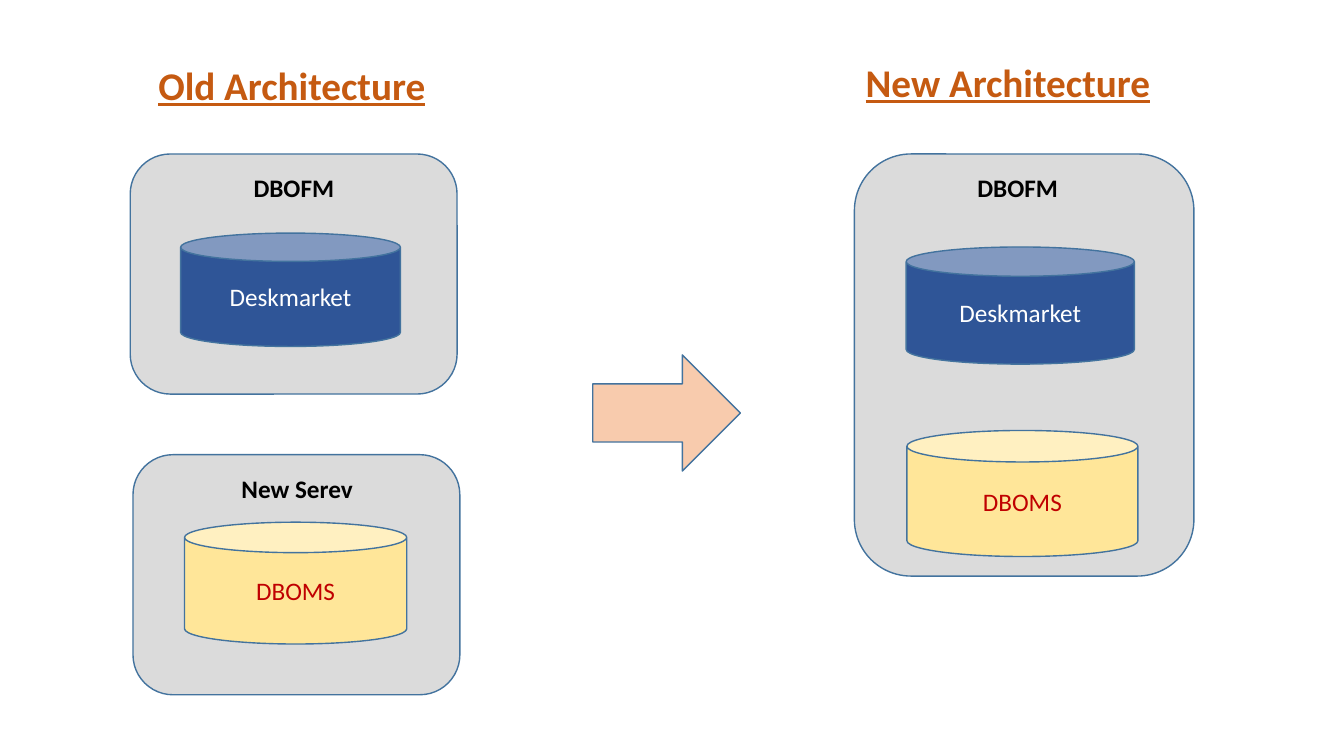
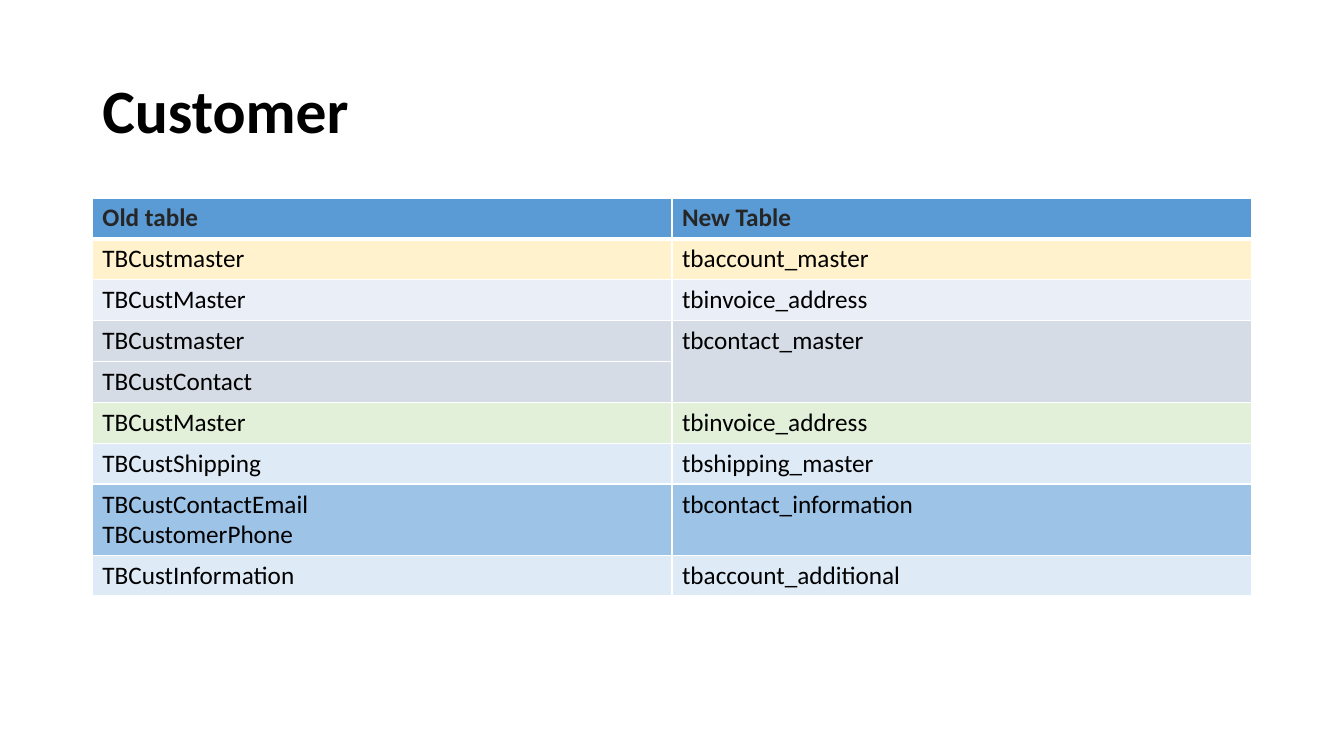
"""Build two slides: an architecture change and its customer table mapping."""
import pptx
import pptx.dml.color
import pptx.enum.shapes
import pptx.enum.text
import pptx.oxml
import pptx.oxml.ns
import pptx.util

Pt = pptx.util.Pt
RGB = pptx.dml.color.RGBColor
MSO = pptx.enum.shapes.MSO_SHAPE
ALIGN = pptx.enum.text.PP_ALIGN
ANCHOR = pptx.enum.text.MSO_ANCHOR

FONT = "Calibri"
BLACK = RGB(0, 0, 0)
WHITE = RGB(255, 255, 255)
OUTLINE = RGB(0x43, 0x73, 0x9E)
PANEL = RGB(0xDB, 0xDB, 0xDB)
NAVY = RGB(0x2F, 0x55, 0x97)
YELLOW = RGB(0xFF, 0xE6, 0x99)
RED = RGB(0xC0, 0, 0)
RUST = RGB(0xC5, 0x5A, 0x11)
PEACH = RGB(0xF8, 0xCB, 0xAD)
CHARCOAL = RGB(0x26, 0x26, 0x26)
HEADER = RGB(0x5B, 0x9B, 0xD5)
CREAM = RGB(0xFF, 0xF2, 0xCC)
ICE = RGB(0xEA, 0xEF, 0xF7)
GREY = RGB(0xD6, 0xDC, 0xE5)
GREEN = RGB(0xE2, 0xF0, 0xD9)
PALE_BLUE = RGB(0xDE, 0xEB, 0xF7)
SKY = RGB(0x9D, 0xC3, 0xE6)

HEADINGS = [
    ("Old Architecture", (106, 40.3, 212, 41)),
    ("New Architecture", (611.3, 38.2, 220, 41)),
]
PANELS = [(93, 110, 233.5, 171.5), (95, 324.8, 233.5, 171.5), (610.3, 110, 242.5, 301.5)]
LABELS = [
    ("DBOFM", (174, 119.5, 90, 29)),
    ("New Serev", (165.4, 334.4, 112, 29)),
    ("DBOFM", (691, 119.5, 92, 29)),
]
STORES = {"Deskmarket": (NAVY, WHITE), "DBOMS": (YELLOW, RED)}
DATABASES = [
    ("Deskmarket", (129, 166.5, 157, 81)),
    ("DBOMS", (131.8, 373, 158.7, 87)),
    ("Deskmarket", (647.3, 176.4, 163, 83.7)),
    ("DBOMS", (647.8, 307.5, 165, 90)),
]
ARROW = (423.4, 253.5, 105.5, 83)

TITLE = "Customer"
ROWS = [
    ("Old table", "New Table", HEADER),
    ("TBCustmaster", "tbaccount_master", CREAM),
    ("TBCustMaster", "tbinvoice_address", ICE),
    ("TBCustmaster", "tbcontact_master", GREY),
    ("TBCustContact", "", GREY),
    ("TBCustMaster", "tbinvoice_address", GREEN),
    ("TBCustShipping", "tbshipping_master", PALE_BLUE),
    ("TBCustContactEmail\nTBCustomerPhone", "tbcontact_information", SKY),
    ("TBCustInformation", "tbaccount_additional", PALE_BLUE),
]
MERGED_ROWS = (3, 4)
ROW_H, EXTRA_LINE_H = 29.2, 21.6
TABLE_X, TABLE_Y, TABLE_W = 66, 141.4, 828


def write(tf, text, size=18, color=BLACK, bold=False, underline=False,
          align=ALIGN.LEFT, anchor=ANCHOR.TOP, spacing=None):
    tf.word_wrap = True
    tf.vertical_anchor = anchor
    for i, line in enumerate(text.split("\n")):
        p = tf.add_paragraph() if i else tf.paragraphs[0]
        p.alignment = align
        p.line_spacing = spacing
        r = p.add_run()
        r.text = line
        font = r.font
        font.name, font.size, font.bold, font.underline = FONT, Pt(size), bold, underline
        font.color.rgb = color


def add_text(slide, box, text, **fmt):
    write(slide.shapes.add_textbox(*map(Pt, box)).text_frame, text, **fmt)


def add_shape(slide, kind, box, fill):
    sp = slide.shapes.add_shape(kind, *map(Pt, box))
    sp.shadow.inherit = False
    sp.fill.solid()
    sp.fill.fore_color.rgb = fill
    sp.line.color.rgb = OUTLINE
    sp.line.width = Pt(1)
    return sp


def set_borders(cell, top, bottom):
    tcPr = cell._tc.get_or_add_tcPr()
    for side, width in (("L", 1), ("R", 1), ("T", top), ("B", bottom)):
        tcPr.append(pptx.oxml.parse_xml(
            f'<a:ln{side} {pptx.oxml.ns.nsdecls("a")} w="{Pt(width)}">'
            f'<a:solidFill><a:srgbClr val="{WHITE}"/></a:solidFill></a:ln{side}>'))


def architecture_slide(slide):
    for box in PANELS:
        add_shape(slide, MSO.ROUNDED_RECTANGLE, box, PANEL)
    for name, box in DATABASES:
        fill, color = STORES[name]
        sp = add_shape(slide, MSO.CAN, box, fill)
        write(sp.text_frame, name, color=color, align=ALIGN.CENTER, anchor=ANCHOR.MIDDLE)
    for text, box in LABELS:
        add_text(slide, box, text, bold=True)
    for text, box in HEADINGS:
        add_text(slide, box, text, size=28, color=RUST, bold=True, underline=True)
    add_shape(slide, MSO.RIGHT_ARROW, ARROW, PEACH)


def customer_slide(slide):
    add_text(slide, (TABLE_X, 28.8, TABLE_W, 104.4), TITLE, size=44, bold=True,
             anchor=ANCHOR.MIDDLE, spacing=0.9)
    heights = [ROW_H + EXTRA_LINE_H * old.count("\n") for old, _, _ in ROWS]
    box = (TABLE_X, TABLE_Y, TABLE_W, sum(heights))
    table = slide.shapes.add_table(len(ROWS), 2, *map(Pt, box)).table
    first, last = MERGED_ROWS
    table.cell(first, 1).merge(table.cell(last, 1))
    for i, (*texts, fill) in enumerate(ROWS):
        table.rows[i].height = Pt(heights[i])
        header = i == 0
        for j, text in enumerate(texts):
            cell = table.cell(i, j)
            set_borders(cell, 3 if i == 1 else 1, 3 if header else 1)
            cell.fill.solid()
            cell.fill.fore_color.rgb = fill
            if text:
                write(cell.text_frame, text, bold=header,
                      color=CHARCOAL if header else BLACK)


prs = pptx.Presentation()
prs.slide_width, prs.slide_height = Pt(960), Pt(540)
for build in (architecture_slide, customer_slide):
    build(prs.slides.add_slide(prs.slide_layouts[6]))
prs.save("out.pptx")
